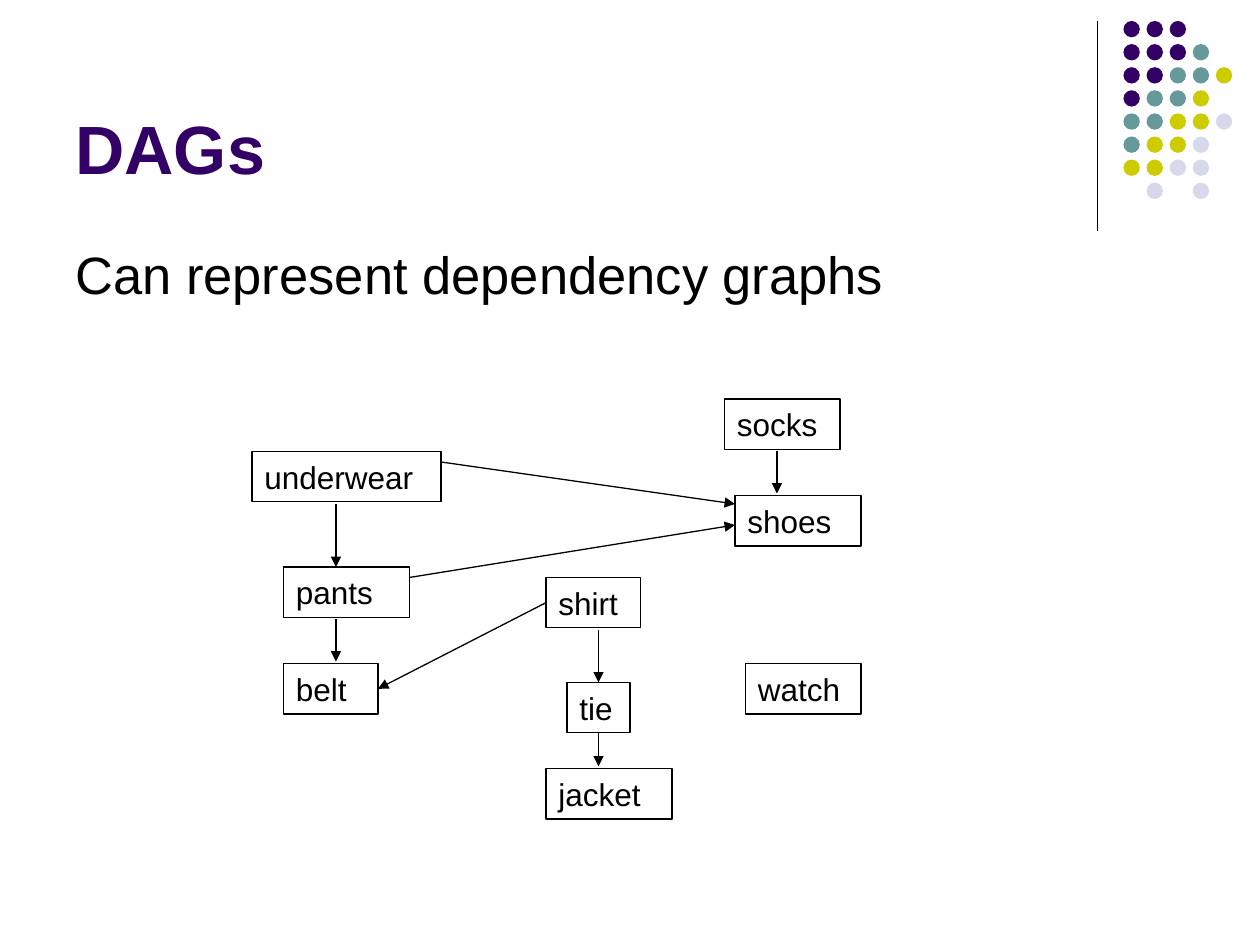
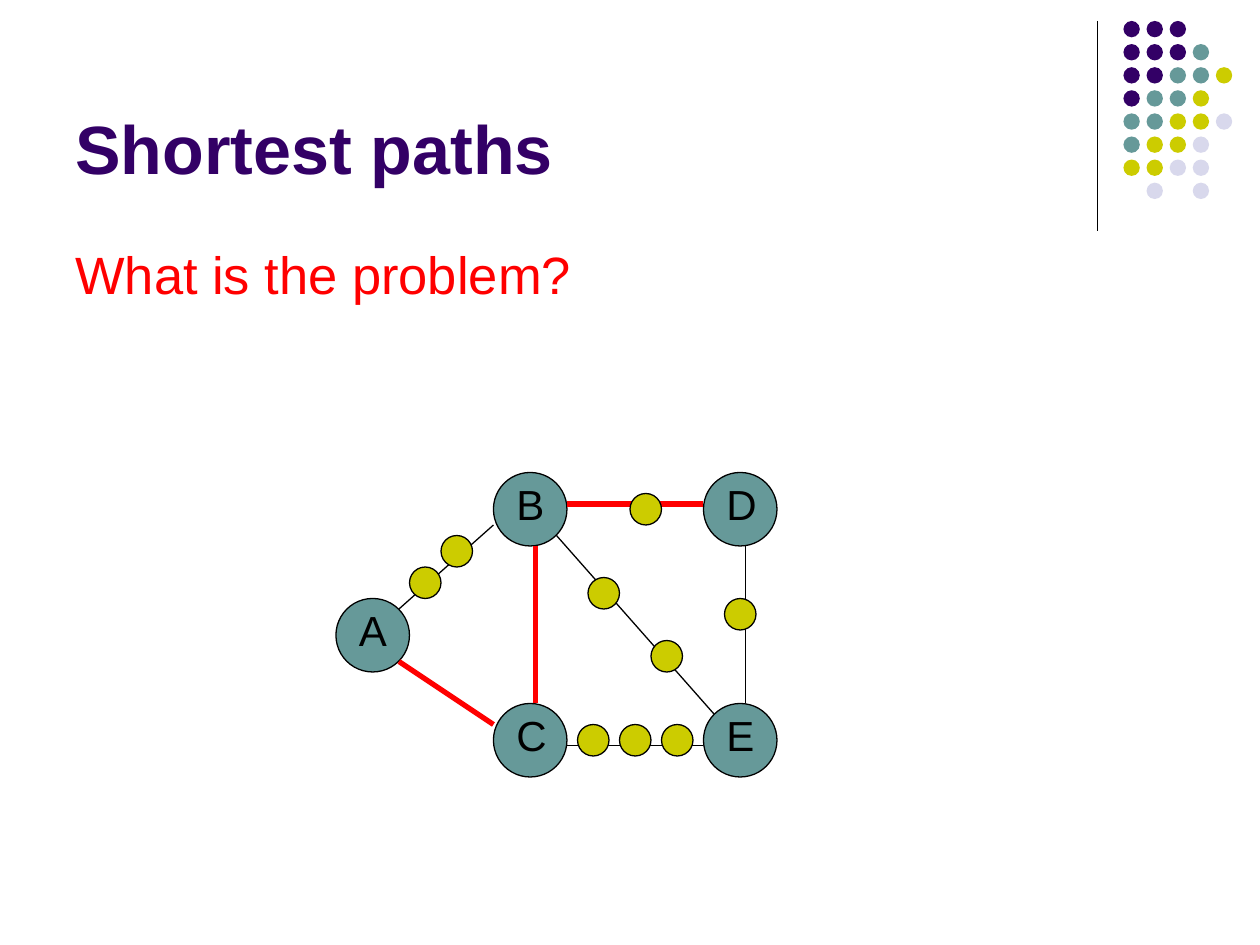
from dataclasses import dataclass
from typing import NamedTuple, Optional

from lxml import etree
from pptx import Presentation
from pptx.dml.color import RGBColor
from pptx.enum.shapes import MSO_CONNECTOR, MSO_SHAPE
from pptx.enum.text import MSO_ANCHOR
from pptx.oxml.ns import qn
from pptx.util import Inches, Pt

STRAIGHT = MSO_CONNECTOR.STRAIGHT
RECTANGLE, OVAL = MSO_SHAPE.RECTANGLE, MSO_SHAPE.OVAL
TOP, BOTTOM = MSO_ANCHOR.TOP, MSO_ANCHOR.BOTTOM
SIDE_TOP, SIDE_LEFT, SIDE_BOTTOM, SIDE_RIGHT = range(4)

# The page is a grid of 120 columns by 90 rows
PAGE_WIDTH, PAGE_HEIGHT = Inches(10), Inches(7.5)
COLUMNS, ROWS = 120, 90


@dataclass(frozen=True)
class Theme:
    font: str = "Arial"
    ink: RGBColor = RGBColor(0x00, 0x00, 0x00)
    purple: RGBColor = RGBColor(0x33, 0x00, 0x66)
    teal: RGBColor = RGBColor(0x66, 0x99, 0x99)
    yellow: RGBColor = RGBColor(0xCC, 0xCC, 0x00)
    lilac: RGBColor = RGBColor(0xD8, 0xD8, 0xEC)
    red: RGBColor = RGBColor(0xFF, 0x00, 0x00)
    title_size: float = 39
    body_size: float = 30
    vertex_size: float = 24
    garment_size: float = 18
    thin: float = 0.75
    thick: float = 3


THEME = Theme()


class Area(NamedTuple):
    left: float
    top: float
    width: float
    height: float


class Garment(NamedTuple):
    name: str
    left: float
    top: float
    width: float


class Join(NamedTuple):
    name: str
    side: int


class Line(NamedTuple):
    start: tuple[float, float]
    end: tuple[float, float]
    start_join: Optional[Join] = None
    end_join: Optional[Join] = None
    shortest: bool = False


class Vertex(NamedTuple):
    name: str
    left: float
    top: float


# Shared parts
TITLE_AREA = Area(6, 1.5, 99, 17)
BODY_AREA = Area(6, 22.5, 108, 10)
RULE = Line((104.5, 2), (104.5, 22))
DOT_LEFT, DOT_TOP, DOT_PITCH, DOT_SIZE = 107, 2, 2.2, 1.56
DOT_ROWS = ("PPP", "PPPT", "PPTTY", "PTTY", "TTYYL", "TYYL", "YYLL", ".L.L")
DOT_COLOURS = {"P": THEME.purple, "T": THEME.teal,
               "Y": THEME.yellow, "L": THEME.lilac}

# Dependency graph of clothes
GARMENT_HEIGHT = 4.8
GARMENTS = (
    Garment("underwear", 24, 43, 18),
    Garment("pants", 27, 54, 12),
    Garment("belt", 27, 63.2, 9),
    Garment("shirt", 52, 55, 9),
    Garment("tie", 54, 65, 6),
    Garment("jacket", 52, 73.2, 12),
    Garment("socks", 69, 38, 11),
    Garment("shoes", 70, 47.2, 12),
    Garment("watch", 71, 63.2, 11),
)
DEPENDENCIES = (
    Line((32, 48), (32, 54)),
    Line((32, 59), (32, 63)),
    Line((39, 55), (70, 50)),
    Line((74, 43), (74, 47)),
    Line((42, 44), (70, 48)),
    Line((52, 57), (36, 66), Join("shirt", SIDE_LEFT), Join("belt", SIDE_RIGHT)),
    Line((57, 60), (57, 65), end_join=Join("tie", SIDE_TOP)),
    Line((57, 70), (57, 73), start_join=Join("tie", SIDE_BOTTOM)),
)

# Weighted graph
VERTEX_SIZE, LETTER_SIZE, WEIGHT_SIZE = 7, 6, 3
VERTICES = (
    Vertex("A", 32, 57),
    Vertex("B", 47, 45),
    Vertex("C", 47, 67),
    Vertex("E", 67, 67),
    Vertex("D", 67, 45),
)
EDGES = (
    Line((38, 58), (47, 50)),
    Line((38, 63), (47, 69), shortest=True),
    Line((54, 71), (67, 71)),
    Line((71, 67), (71, 52)),
    Line((51, 67), (51, 52), shortest=True),
    Line((54, 48), (67, 48), shortest=True),
    Line((53, 51), (68, 68)),
)
WEIGHTS = ((42, 51), (56, 55), (62, 61), (69, 57), (60, 47),
           (55, 69), (59, 69), (63, 69), (39, 54))


def across(columns: float) -> int:
    return round(PAGE_WIDTH * columns / COLUMNS)


def down(rows: float) -> int:
    return round(PAGE_HEIGHT * rows / ROWS)


def place(area: Area) -> tuple[int, int, int, int]:
    return (across(area.left), down(area.top),
            across(area.width), down(area.height))


def apply(target, values: dict) -> None:
    for name, value in values.items():
        setattr(target, name, value)


def write(box, text: str, size: float, colour: RGBColor = THEME.ink,
          bold: bool = False, anchor=TOP) -> None:
    frame = box.text_frame
    apply(frame, {"word_wrap": True, "vertical_anchor": anchor,
                  "margin_left": Inches(0.1), "margin_right": Inches(0.1),
                  "margin_top": Inches(0.05), "margin_bottom": Inches(0.05)})
    para = frame.paragraphs[0]
    para.alignment = 1  # left
    span = para.add_run()
    span.text = text
    apply(span.font, {"name": THEME.font, "size": Pt(size), "bold": bold})
    span.font.color.rgb = colour


def draw_shape(shapes, kind, area: Area, fill: Optional[RGBColor] = None,
               outlined: bool = True):
    shape = shapes.add_shape(kind, *place(area))
    shape.shadow.inherit = False
    if fill is None:
        shape.fill.background()
    else:
        shape.fill.solid()
        shape.fill.fore_color.rgb = fill
    if outlined:
        shape.line.color.rgb = THEME.ink
        shape.line.width = Pt(THEME.thin)
    else:
        shape.line.fill.background()
    return shape


def draw_line(page, line: Line, arrow: bool = False):
    connector = page.shapes.add_connector(
        STRAIGHT, across(line.start[0]), down(line.start[1]),
        across(line.end[0]), down(line.end[1]))
    connector.line.color.rgb = THEME.red if line.shortest else THEME.ink
    connector.line.width = Pt(THEME.thick if line.shortest else THEME.thin)
    properties = connector._element.spPr
    etree.SubElement(properties, qn("a:effectLst"))
    if arrow:
        outline = properties.find(qn("a:ln"))
        etree.SubElement(outline, qn("a:tailEnd"), type="triangle")
    return connector


def start_page(deck, title: str, body: str, body_colour: RGBColor):
    page = deck.slides.add_slide(deck.slide_layouts[6])
    # Rule and dot pattern in the corner
    draw_line(page, RULE)
    dots = page.shapes.add_group_shape()
    for row, codes in enumerate(DOT_ROWS):
        for column, code in enumerate(codes):
            if code in DOT_COLOURS:
                area = Area(DOT_LEFT + column * DOT_PITCH,
                            DOT_TOP + row * DOT_PITCH, DOT_SIZE, DOT_SIZE)
                draw_shape(dots.shapes, OVAL, area, DOT_COLOURS[code], False)
    # Title and opening line
    write(page.shapes.add_textbox(*place(TITLE_AREA)), title,
          THEME.title_size, THEME.purple, True, BOTTOM)
    write(page.shapes.add_textbox(*place(BODY_AREA)), body,
          THEME.body_size, body_colour)
    return page


def draw_dependencies(page) -> None:
    boxes = {}
    for garment in GARMENTS:
        area = Area(garment.left, garment.top, garment.width, GARMENT_HEIGHT)
        box = draw_shape(page.shapes, RECTANGLE, area)
        write(box, garment.name, THEME.garment_size)
        boxes[garment.name] = box
    for line in DEPENDENCIES:
        connector = draw_line(page, line, arrow=True)
        if line.start_join:
            connector.begin_connect(boxes[line.start_join.name],
                                    line.start_join.side)
        if line.end_join:
            connector.end_connect(boxes[line.end_join.name],
                                  line.end_join.side)


def draw_weighted_graph(page) -> None:
    for vertex in VERTICES:
        group = page.shapes.add_group_shape()
        draw_shape(group.shapes, OVAL, Area(vertex.left, vertex.top,
                                            VERTEX_SIZE, VERTEX_SIZE), THEME.teal)
        letter = Area(vertex.left + 1, vertex.top, LETTER_SIZE, LETTER_SIZE)
        write(group.shapes.add_textbox(*place(letter)), vertex.name,
              THEME.vertex_size)
    for edge in EDGES:
        draw_line(page, edge)
    for left, top in WEIGHTS:
        draw_shape(page.shapes, OVAL,
                   Area(left, top, WEIGHT_SIZE, WEIGHT_SIZE), THEME.yellow)


def main() -> None:
    deck = Presentation()
    apply(deck, {"slide_width": PAGE_WIDTH, "slide_height": PAGE_HEIGHT})
    draw_dependencies(start_page(
        deck, "DAGs", "Can represent dependency graphs", THEME.ink))
    draw_weighted_graph(start_page(
        deck, "Shortest paths", "What is the problem?", THEME.red))
    deck.save("out.pptx")


if __name__ == "__main__":
    main()
